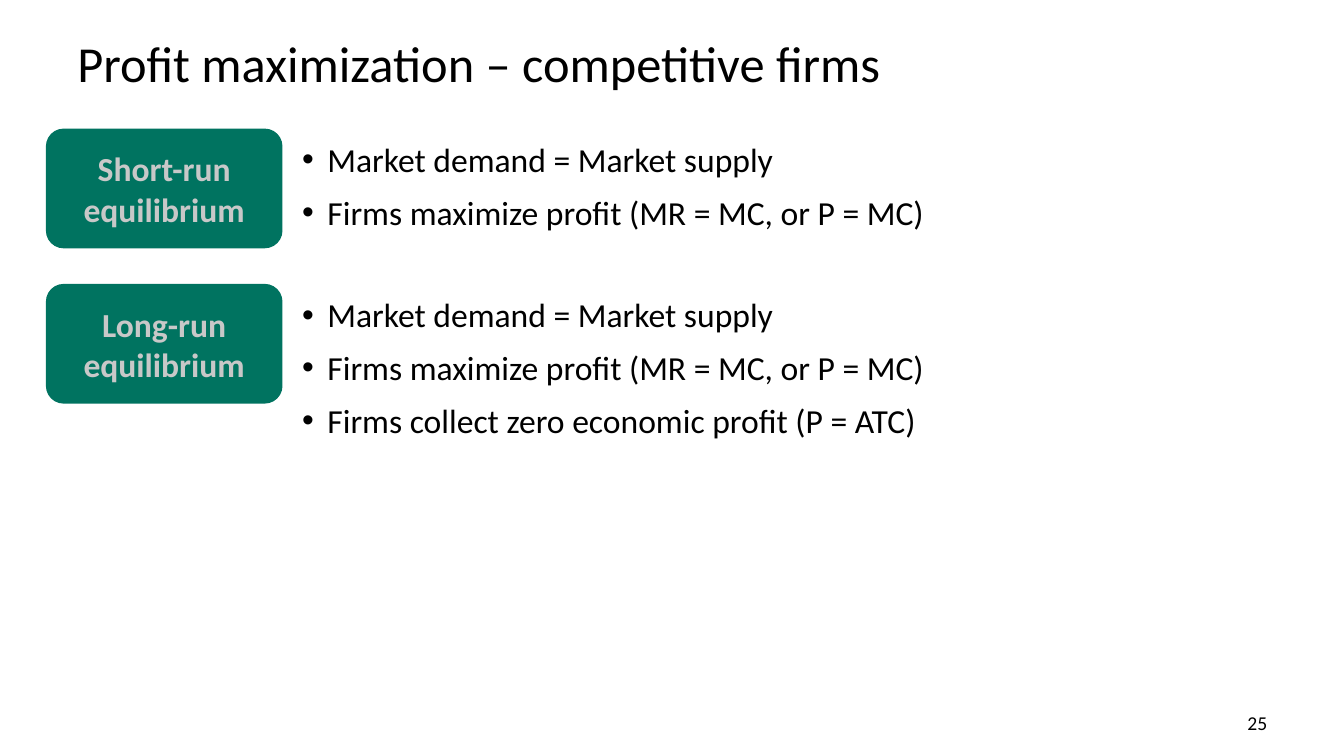
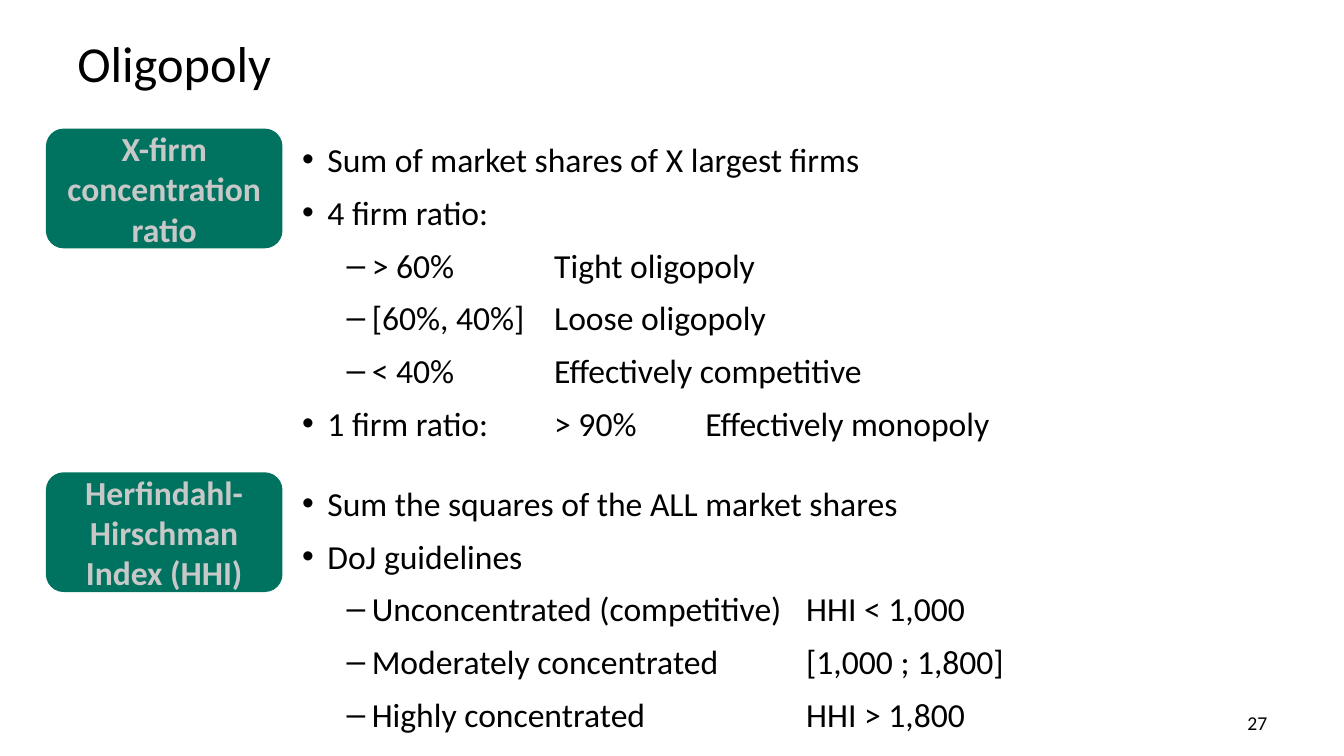
from pptx import Presentation
from pptx.dml.color import RGBColor
from pptx.enum.shapes import MSO_SHAPE
from pptx.enum.text import MSO_ANCHOR, MSO_AUTO_SIZE, PP_ALIGN
from pptx.oxml.ns import qn
from pptx.util import Pt
from lxml.etree import SubElement

FONT = "Calibri"
BLACK = RGBColor(0x00, 0x00, 0x00)
GREEN = RGBColor(0x00, 0x73, 0x60)
LIGHT_GRAY = RGBColor(0xC8, 0xC8, 0xC8)

LABEL_LEFT, LABEL_WIDTH, LABEL_HEIGHT = 33.8, 167, 83.5
LIST_LEFT, LIST_WIDTH = 208.8, 714
LINE_PITCH = 38
FIRST_TOP = 92.9

# Bullet character and left margin for each list level
LEVELS = (("•", 18), ("–", 49.7))
HANGING = 18


def write(para, text, size=24, color=BLACK, bold=False, align=PP_ALIGN.LEFT):
    para.alignment = align
    span = para.add_run()
    span.text = text
    span.font.name = FONT
    span.font.size = Pt(size)
    span.font.bold = bold
    span.font.color.rgb = color


def add_box(page, left, top, width, height):
    box = page.shapes.add_textbox(Pt(left), Pt(top), Pt(width), Pt(height))
    box.text_frame.word_wrap = True
    return box.text_frame


def set_bullet(para, level, tabs):
    mark, margin = LEVELS[level]
    para.level = level
    para.line_spacing = 1.1
    para.space_after = Pt(6)
    properties = para._p.get_or_add_pPr()
    properties.set("marL", str(Pt(margin)))
    properties.set("indent", str(Pt(-HANGING)))
    SubElement(properties, qn("a:buFont"), typeface="Arial")
    SubElement(properties, qn("a:buChar"), char=mark)
    if tabs:
        tab_list = SubElement(properties, qn("a:tabLst"))
        for position in tabs:
            SubElement(tab_list, qn("a:tab"), pos=str(Pt(position)), algn="l")


def add_label(page, top, text):
    label = page.shapes.add_shape(MSO_SHAPE.ROUNDED_RECTANGLE, Pt(LABEL_LEFT), Pt(top),
                                  Pt(LABEL_WIDTH), Pt(LABEL_HEIGHT))
    label.adjustments[0] = 0.14
    label.shadow.inherit = False
    label.fill.solid()
    label.fill.fore_color.rgb = GREEN
    label.line.color.rgb = GREEN
    label.line.width = Pt(2)
    frame = label.text_frame
    frame.word_wrap = True
    frame.vertical_anchor = MSO_ANCHOR.MIDDLE
    write(frame.paragraphs[0], text, color=LIGHT_GRAY, bold=True, align=PP_ALIGN.CENTER)


def add_topic(page, top, label, items):
    """Add a green label with its list; each item is (level, text, tab stops)."""
    add_label(page, top, label)
    frame = add_box(page, LIST_LEFT, top, LIST_WIDTH, LINE_PITCH * len(items))
    for index, (level, text, tabs) in enumerate(items):
        para = frame.add_paragraph() if index else frame.paragraphs[0]
        set_bullet(para, level, tabs)
        write(para, text)


def add_page(deck, title, number):
    page = deck.slides.add_slide(deck.slide_layouts[5])
    heading = page.shapes.title
    heading.left, heading.top = Pt(48), Pt(18.7)
    heading.width, heading.height = Pt(864), Pt(51)
    frame = heading.text_frame
    frame.auto_size = MSO_AUTO_SIZE.NONE
    frame.vertical_anchor = MSO_ANCHOR.MIDDLE
    write(frame.paragraphs[0], title, size=36)
    footer = add_box(page, 688.3, 504, 224, 24.5)
    write(footer.paragraphs[0], str(number), size=14, align=PP_ALIGN.RIGHT)
    return page


def main():
    deck = Presentation()
    deck.slide_width, deck.slide_height = Pt(960), Pt(540)

    equilibrium = [
        (0, "Market demand = Market supply", ()),
        (0, "Firms maximize profit (MR = MC, or P = MC)", ()),
    ]
    page = add_page(deck, "Profit maximization – competitive firms", 25)
    add_topic(page, FIRST_TOP, "Short-run equilibrium", equilibrium)
    add_topic(page, 203.8, "Long-run equilibrium", equilibrium + [
        (0, "Firms collect zero economic profit (P = ATC)", ()),
    ])

    page = add_page(deck, "Oligopoly", 27)
    add_topic(page, FIRST_TOP, "X-firm concentration ratio", [
        (0, "Sum of market shares of X largest firms", ()),
        (0, "4 firm ratio:", ()),
        (1, "> 60%\tTight oligopoly", (180,)),
        (1, "[60%, 40%]\tLoose oligopoly", (180,)),
        (1, "< 40%\tEffectively competitive", (180,)),
        (0, "1 firm ratio:\t> 90%\tEffectively monopoly", (180, 288)),
    ])
    add_topic(page, 338.4, "Herfindahl-Hirschman Index (HHI)", [
        (0, "Sum the squares of the ALL market shares", ()),
        (0, "DoJ guidelines", ()),
        (1, "Unconcentrated (competitive)\tHHI < 1,000", (360,)),
        (1, "Moderately concentrated\t[1,000 ; 1,800]", (360,)),
        (1, "Highly concentrated\tHHI > 1,800", (360,)),
    ])

    deck.save("out.pptx")


if __name__ == "__main__":
    main()
